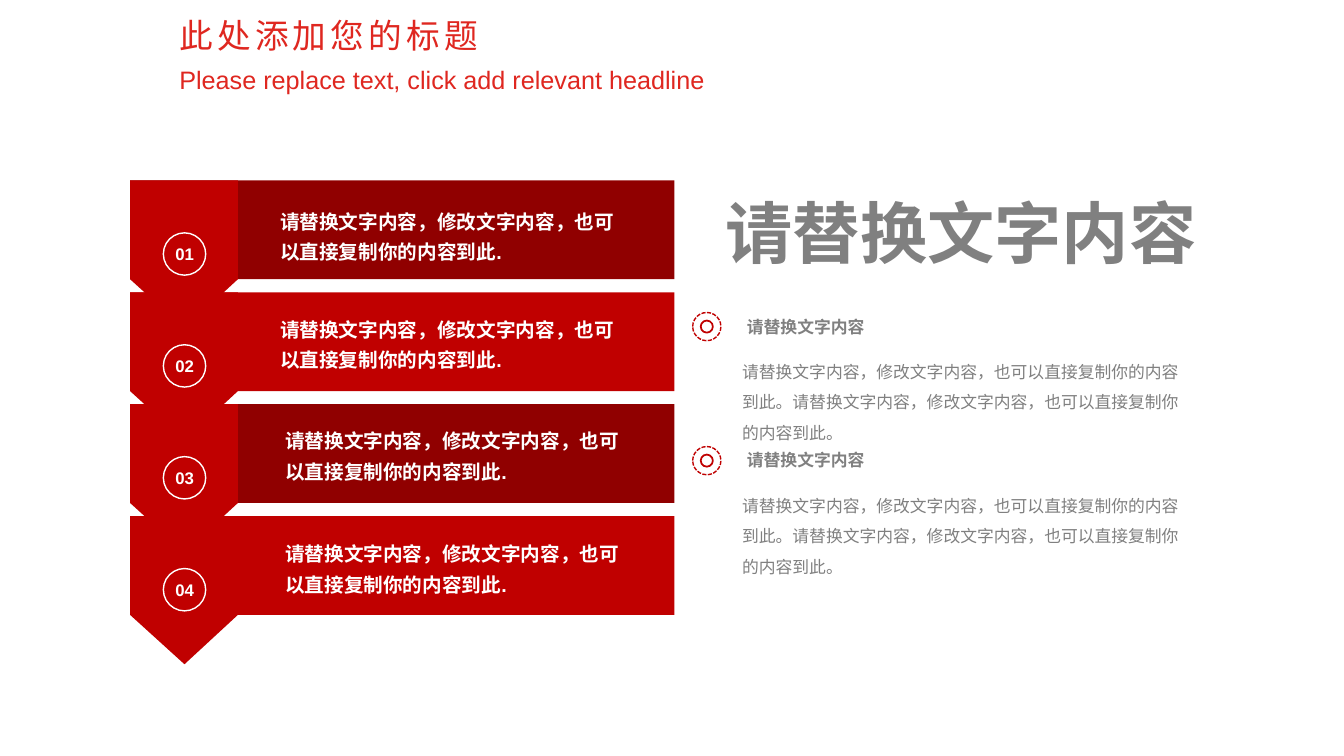
from dataclasses import dataclass

import pptx
import pptx.dml.color
import pptx.enum.dml
import pptx.enum.shapes
import pptx.enum.text
import pptx.util

PX = 9144  # EMU per px, 100 px to the inch
RED, DARK_RED, TITLE_RED = "C00000", "900000", "DF2720"
WHITE, GREY = "FFFFFF", "808080"
PITCH, BANNER_TOP, BANNER_LEFT = 111, 179, 129
BANNER_W, BANNER_H, ARROW_W, ARROW_TIP = 540, 98, 107, 147
ARROW_MID = 183
HEADING = "请替换文字内容"
BANNER_TEXT = "请替换文字内容，修改文字内容，也可以直接复制你的内容到此."
POINT_TEXT = "请替换文字内容，修改文字内容，也可以直接复制你的内容到此。" * 2

Shape = pptx.enum.shapes.MSO_SHAPE
Anchor = pptx.enum.text.MSO_ANCHOR


@dataclass
class Banner:
    number: str
    fill: str
    text_left: int
    text_drop: int


@dataclass
class Point:
    ring_mid: int
    heading_top: int
    body_top: int


BANNERS = [
    Banner("01", DARK_RED, 268, 17),
    Banner("02", RED, 268, 13),
    Banner("03", DARK_RED, 273, 13),
    Banner("04", RED, 273, 14),
]
POINTS = [Point(324, 310, 343), Point(457, 442, 476)]

prs = pptx.Presentation()
prs.slide_width, prs.slide_height = 1333 * PX, 750 * PX
s = prs.slides.add_slide(prs.slide_layouts[5])


def rgb(value: str) -> pptx.dml.color.RGBColor:
    return pptx.dml.color.RGBColor.from_string(value)


def write(sp, text: str, size: int, color: str, bold: bool = False,
          wrap: bool = True, spacing=None, anchor=Anchor.TOP, inset=(10, 5)):
    """Fill a text shape with one formatted run and return the run."""
    tf = sp.text_frame
    dx, dy = (v * PX for v in inset)
    frame = {"word_wrap": wrap, "vertical_anchor": anchor,
             "auto_size": pptx.enum.text.MSO_AUTO_SIZE.SHAPE_TO_FIT_TEXT,
             "margin_left": dx, "margin_right": dx,
             "margin_top": dy, "margin_bottom": dy}
    for name, value in frame.items():
        setattr(tf, name, value)
    p = tf.paragraphs[0]
    p.alignment = pptx.enum.text.PP_ALIGN.LEFT
    if spacing:
        p.line_spacing = spacing
    r = p.add_run()
    r.text = text
    font = {"name": "Arial", "size": pptx.util.Pt(size), "bold": bold}
    for name, value in font.items():
        setattr(r.font, name, value)
    r.font.color.rgb = rgb(color)
    return r


def add_text(x: int, y: int, w: int, h: int, text: str, size: int,
             color: str, **style) -> None:
    sp = s.shapes.add_textbox(x * PX, y * PX, w * PX, h * PX)
    write(sp, text, size, color, **style)


def paint(sp, color: str) -> None:
    sp.shadow.inherit = False
    sp.fill.solid()
    sp.fill.fore_color.rgb = rgb(color)
    sp.line.fill.background()


def add_ring(mid_x: int, mid_y: int, size: int, color: str,
             width: float, dash=None) -> None:
    sp = s.shapes.add_shape(Shape.OVAL, (mid_x - size // 2) * PX,
                            (mid_y - size // 2) * PX, size * PX, size * PX)
    sp.shadow.inherit = False
    sp.fill.background()
    sp.line.color.rgb = rgb(color)
    sp.line.width = pptx.util.Pt(width)
    if dash:
        sp.line.dash_style = dash


def add_banner(banner: Banner, top: int) -> None:
    bar = s.shapes.add_shape(Shape.RECTANGLE, BANNER_LEFT * PX, top * PX,
                             BANNER_W * PX, BANNER_H * PX)
    paint(bar, banner.fill)
    right = BANNER_LEFT + ARROW_W
    fb = s.shapes.build_freeform(BANNER_LEFT, top, scale=PX)
    fb.add_line_segments([(right, top), (right, top + BANNER_H),
                          (ARROW_MID, top + ARROW_TIP),
                          (BANNER_LEFT, top + BANNER_H)])
    paint(fb.convert_to_shape(), RED)
    add_ring(ARROW_MID, top + 73, 42, WHITE, 1)
    add_text(164, top + 58, 39, 30, banner.number, 12, WHITE,
             bold=True, wrap=False)
    add_text(banner.text_left, top + banner.text_drop, 360, 68, BANNER_TEXT,
             14, WHITE, bold=True, spacing=1.3)


def add_point(point: Point) -> None:
    add_text(724, point.body_top, 461, 103, POINT_TEXT, 12, GREY,
             spacing=1.5, inset=(12, 6))
    add_text(731, point.heading_top, 138, 30, HEADING, 12, GREY, bold=True,
             wrap=False, spacing=pptx.util.Pt(13.7), anchor=Anchor.MIDDLE)
    add_ring(701, point.ring_mid, 28, RED, 1,
             pptx.enum.dml.MSO_LINE.SQUARE_DOT)
    add_ring(701, point.ring_mid, 12, RED, 1.25)


# Title and subtitle
title = s.shapes.title
box = {"left": 168, "top": 4, "width": 844, "height": 54}
for side, length in box.items():
    setattr(title, side, length * PX)
r = write(title, "此处添加您的标题", 24, TITLE_RED, spacing=1.2,
          anchor=Anchor.MIDDLE)
r.font._element.set("spc", "300")
add_text(168, 59, 546, 40, "Please replace text, click add relevant headline",
         18, TITLE_RED, wrap=False)

# Numbered banners, lowest first so each arrow tip lies under the next bar
# where the banners meet
for i in reversed(range(len(BANNERS))):
    # The bar below covers the tip only when it is drawn later
    row = len(BANNERS) - 1 - i
    add_banner(BANNERS[row], BANNER_TOP + row * PITCH)

# Headline and points on the right
add_text(710, 185, 552, 91, HEADING, 48, GREY, bold=True)
for point in POINTS:
    add_point(point)

prs.save("out.pptx")
